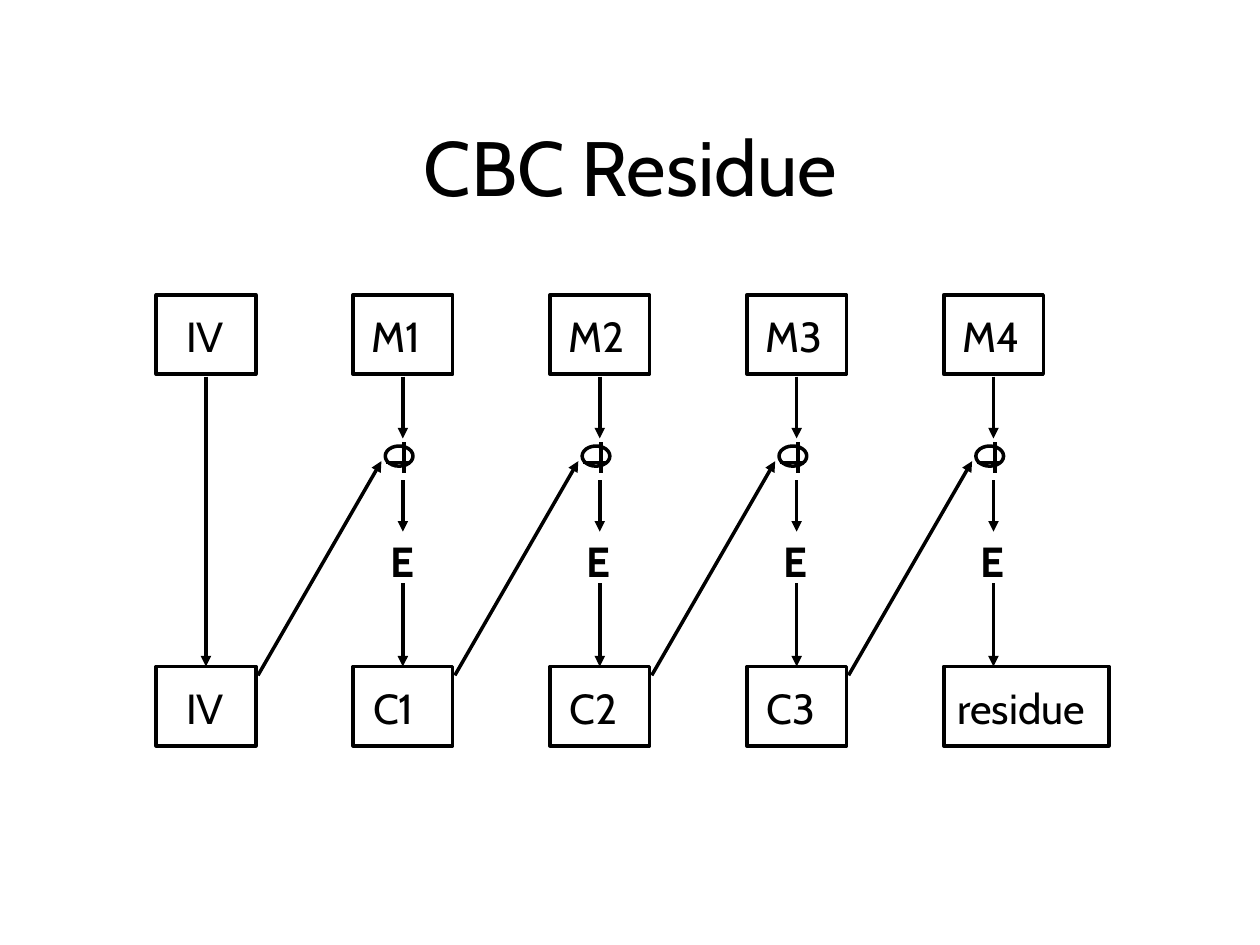
import pptx
import pptx.util
import pptx.dml.color
import pptx.enum.shapes
import pptx.enum.text
import pptx.oxml.ns
import lxml.etree

Inches = pptx.util.Inches
Pt = pptx.util.Pt
SHAPE = pptx.enum.shapes.MSO_SHAPE
qn = pptx.oxml.ns.qn

BLACK = pptx.dml.color.RGBColor(0, 0, 0)
WHITE = pptx.dml.color.RGBColor(255, 255, 255)

LEFT = 1.24
PITCH = 6.25 / 4
BOX_W, BOX_H = 0.79, 0.63
TOP_ROW, BOTTOM_ROW = 2.34, 5.29
TOP_LABELS = [("IV", 0.14, 0.52)] + [(f"M{i}", 0.05, 0.7) for i in range(1, 5)]
BOTTOM_LABELS = [("IV", 0.14, 0.52)] + [(f"C{i}", 0.06, 0.6) for i in range(1, 4)]


def write(tf, text, size=24, bold=None, align=None):
    tf.margin_left = tf.margin_right = Inches(0.1)
    tf.margin_top = tf.margin_bottom = Inches(0.05)
    p = tf.paragraphs[0]
    p.line_spacing = 1.01
    p.alignment = align
    r = p.add_run()
    r.text = text
    r.font.name = "Cabin"
    r.font.size = Pt(size)
    r.font.bold = bold
    r.font.color.rgb = BLACK


class Diagram:
    def __init__(self, s, color=BLACK, fill=WHITE, weight=2):
        self.s = s
        self.color = color
        self.fill = fill
        self.weight = weight

    def title(self, text, x, y, w, h):
        sp = self.s.shapes.title
        sp.left, sp.top, sp.width, sp.height = map(Inches, (x, y, w, h))
        sp.text_frame.vertical_anchor = pptx.enum.text.MSO_ANCHOR.MIDDLE
        write(sp.text_frame, text, size=44, align=pptx.enum.text.PP_ALIGN.CENTER)

    def outline(self, shape):
        shape.line.color.rgb = self.color
        shape.line.width = Pt(self.weight)

    def label(self, text, x, y, w, bold=None):
        sp = self.s.shapes.add_textbox(Inches(x), Inches(y), Inches(w), Inches(0.51))
        tf = sp.text_frame
        tf.word_wrap = False
        tf.auto_size = pptx.enum.text.MSO_AUTO_SIZE.SHAPE_TO_FIT_TEXT
        write(tf, text, bold=bold)

    def box(self, text, x, y, offset, label_w, w=BOX_W):
        sp = self.s.shapes.add_shape(
            SHAPE.ROUNDED_RECTANGLE, Inches(x), Inches(y), Inches(w), Inches(BOX_H))
        sp.adjustments[0] = 0
        sp.shadow.inherit = False
        sp.fill.solid()
        sp.fill.fore_color.rgb = self.fill
        self.outline(sp)
        self.label(text, x + offset, y + 0.07, label_w)

    def line(self, x1, y1, x2, y2, shapes=None, arrow=False):
        shapes = self.s.shapes if shapes is None else shapes
        c = shapes.add_connector(
            pptx.enum.shapes.MSO_CONNECTOR.STRAIGHT,
            Inches(x1), Inches(y1), Inches(x2), Inches(y2))
        self.outline(c)
        spPr = c.element.spPr
        if arrow:
            lxml.etree.SubElement(spPr.find(qn("a:ln")), qn("a:tailEnd"), type="triangle")
        lxml.etree.SubElement(spPr, qn("a:effectLst"))

    def arrow(self, x1, y1, x2, y2):
        self.line(x1, y1, x2, y2, arrow=True)

    def xor(self, x):
        shapes = self.s.shapes.add_group_shape().shapes
        self.line(x - 0.13, 3.67, x + 0.06, 3.67, shapes)
        self.line(x + 0.01, 3.75, x + 0.01, 3.51, shapes)
        sp = shapes.add_shape(
            SHAPE.OVAL, Inches(x - 0.14), Inches(3.54), Inches(0.22), Inches(0.16))
        sp.shadow.inherit = False
        sp.fill.background()
        self.outline(sp)


def main():
    prs = pptx.Presentation()
    prs.slide_width, prs.slide_height = Inches(10), Inches(7.5)
    d = Diagram(prs.slides.add_slide(prs.slide_layouts[5]))
    d.title("CBC Residue", 0.81, 0.7, 8.39, 1.23)

    for labels, y in ((TOP_LABELS, TOP_ROW), (BOTTOM_LABELS, BOTTOM_ROW)):
        for i, (text, offset, label_w) in enumerate(labels):
            d.box(text, LEFT + i * PITCH, y, offset, label_w)
    d.box("residue", LEFT + 4 * PITCH, BOTTOM_ROW, 0.01, 1.37, w=1.31)

    for i in range(1, 5):
        x = LEFT + i * PITCH + BOX_W / 2
        d.xor(x)
        d.arrow(x, 2.99, x, 3.48)
        d.label("E", x - 0.2, 4.2, 0.39, bold=True)
        d.arrow(x, 3.81, x, 4.22)
        d.arrow(x, 4.63, x, BOTTOM_ROW)
        d.arrow(x - 1.15, 5.36, x - 0.17, 3.66)

    iv_x = LEFT + BOX_W / 2
    d.arrow(iv_x, 2.99, iv_x, BOTTOM_ROW)
    prs.save("out.pptx")


if __name__ == "__main__":
    main()
